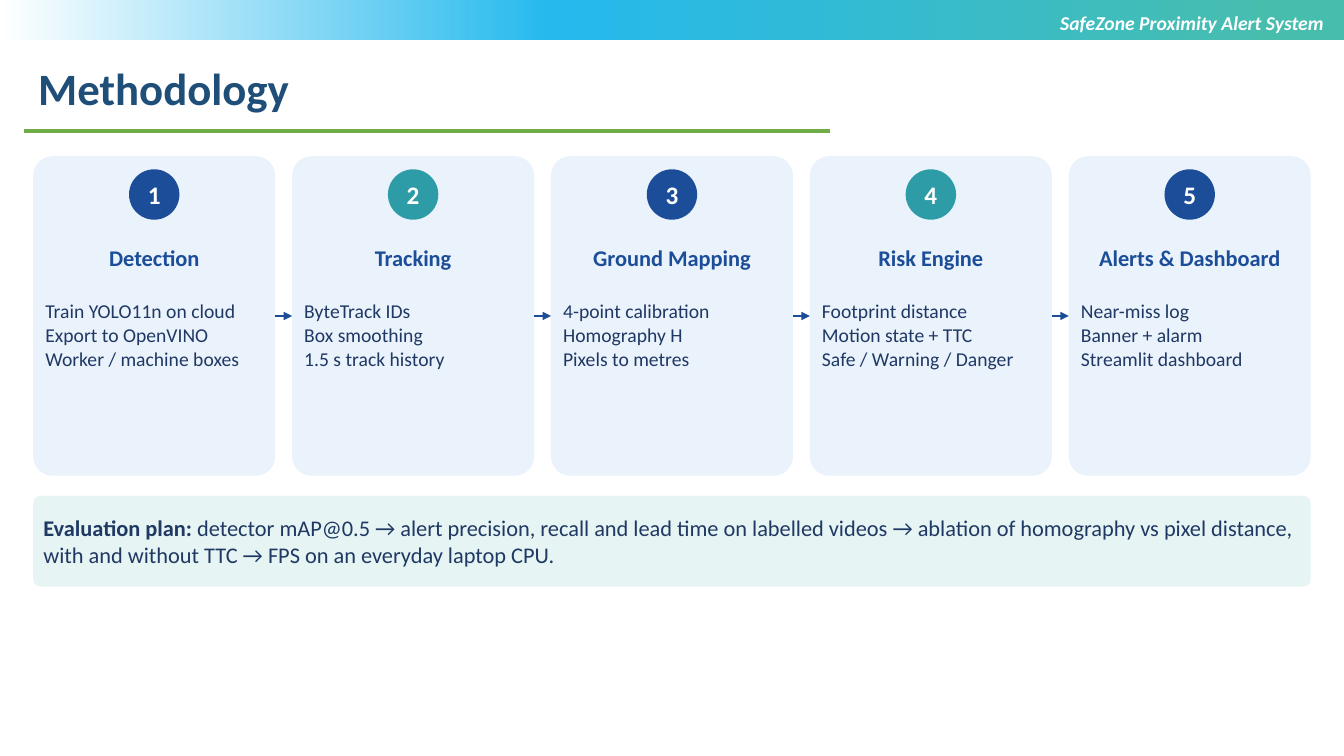
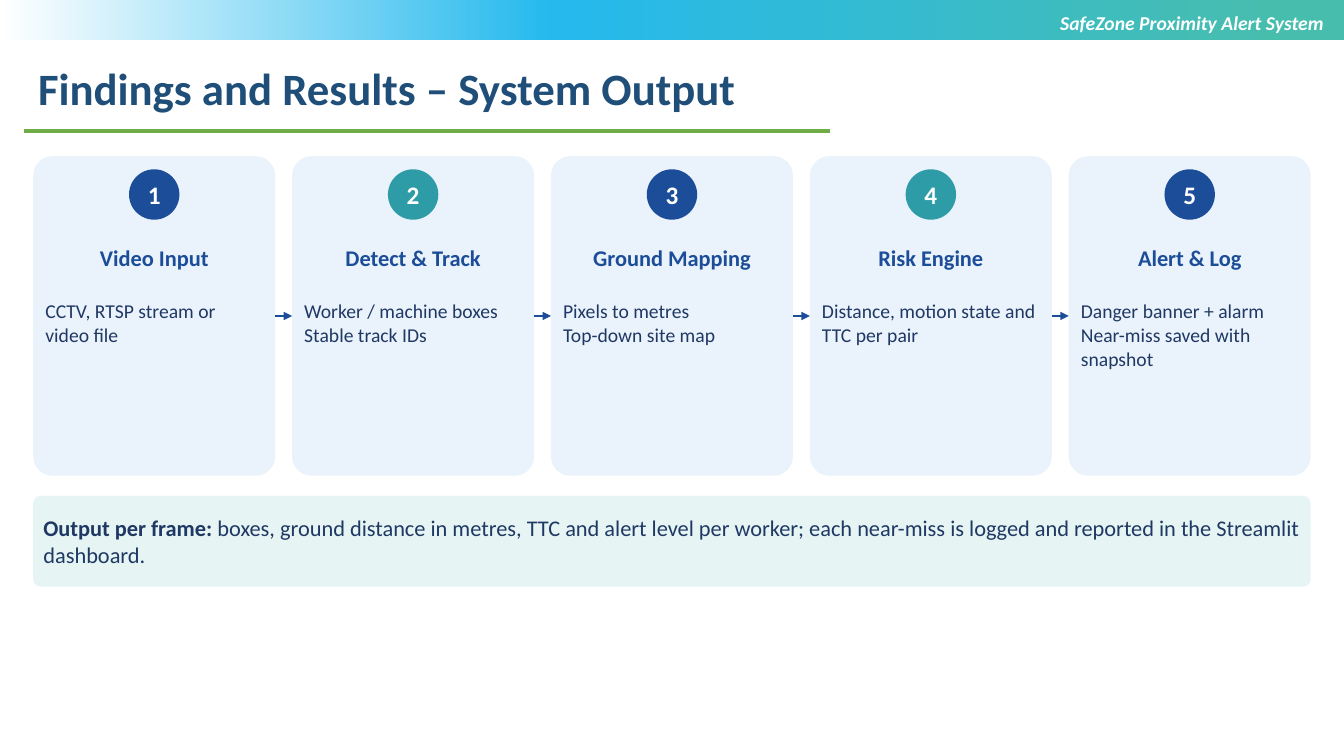
from copy import deepcopy

from lxml import etree
from pptx import Presentation
from pptx.dml.color import RGBColor
from pptx.enum.shapes import MSO_CONNECTOR, MSO_SHAPE
from pptx.enum.text import MSO_ANCHOR, PP_ALIGN
from pptx.oxml.ns import qn
from pptx.util import Inches, Pt

# Style
FONT = "Calibri"
WHITE = RGBColor(0xFF, 0xFF, 0xFF)
SKY = RGBColor(0x25, 0xB9, 0xED)
MINT = RGBColor(0x47, 0xBD, 0xAE)
TITLE_BLUE = RGBColor(0x1F, 0x4E, 0x79)
RULE_GREEN = RGBColor(0x70, 0xAD, 0x47)
BLUE = RGBColor(0x1C, 0x4D, 0x98)
TEAL = RGBColor(0x2E, 0x9C, 0xA6)
INK = RGBColor(0x1F, 0x38, 0x64)
CARD_FILL = RGBColor(0xEA, 0xF2, 0xFB)
NOTE_FILL = RGBColor(0xE6, 0xF5, 0xF3)
BAND_STOPS = [(0, WHITE), (0.41, SKY), (0.95, MINT)]

RECTANGLE, ROUNDED, OVAL = (
    MSO_SHAPE.RECTANGLE, MSO_SHAPE.ROUNDED_RECTANGLE, MSO_SHAPE.OVAL)
STRAIGHT = MSO_CONNECTOR.STRAIGHT
LEFT, CENTER, RIGHT = PP_ALIGN.LEFT, PP_ALIGN.CENTER, PP_ALIGN.RIGHT
TOP, MIDDLE = MSO_ANCHOR.TOP, MSO_ANCHOR.MIDDLE
LEFT_SIDE, RIGHT_SIDE = 1, 3

# Layout, in inches
PAGE_WIDTH, PAGE_HEIGHT = 13.33, 7.5
MARGIN, CONTENT_WIDTH = 0.33, 12.67
CARD_TOP, CARD_WIDTH, CARD_HEIGHT = 1.55, 2.4, 3.17
BADGE_SIZE = 0.5
TEXT_INDENT = 0.04

# Content
RUNNING_HEAD = "SafeZone Proximity Alert System"
PAGES = [
    ("Methodology",
     [("Detection", ["Train YOLO11n on cloud", "Export to OpenVINO",
                     "Worker / machine boxes"]),
      ("Tracking", ["ByteTrack IDs", "Box smoothing", "1.5 s track history"]),
      ("Ground Mapping", ["4-point calibration", "Homography H",
                          "Pixels to metres"]),
      ("Risk Engine", ["Footprint distance", "Motion state + TTC",
                       "Safe / Warning / Danger"]),
      ("Alerts & Dashboard", ["Near-miss log", "Banner + alarm",
                              "Streamlit dashboard"])],
     "Evaluation plan:",
     "detector mAP@0.5 → alert precision, recall and lead time on labelled "
     "videos → ablation of homography vs pixel distance, with and without "
     "TTC → FPS on an everyday laptop CPU."),
    ("Findings and Results – System Output",
     [("Video Input", ["CCTV, RTSP stream or video file"]),
      ("Detect & Track", ["Worker / machine boxes", "Stable track IDs"]),
      ("Ground Mapping", ["Pixels to metres", "Top-down site map"]),
      ("Risk Engine", ["Distance, motion state and TTC per pair"]),
      ("Alert & Log", ["Danger banner + alarm",
                       "Near-miss saved with snapshot"])],
     "Output per frame:",
     "boxes, ground distance in metres, TTC and alert level per worker; each "
     "near-miss is logged and reported in the Streamlit dashboard."),
]


def add_span(para, text, size=14, color=INK, bold=False, italic=False):
    """Add formatted text to a paragraph."""
    span = para.add_run()
    span.text = text
    font = span.font
    font.name, font.size = FONT, Pt(size)
    font.bold, font.italic = bold, italic
    font.color.rgb = color


def set_frame(shape, anchor=TOP, inset=(0.1, 0.05)):
    """Set wrapping, anchor and (horizontal, vertical) insets."""
    frame = shape.text_frame
    frame.word_wrap = True
    frame.vertical_anchor = anchor
    frame.margin_left = frame.margin_right = Inches(inset[0])
    frame.margin_top = frame.margin_bottom = Inches(inset[1])
    return frame


class DeckBuilder:
    """Holds the deck, its style and the current page."""

    def __init__(self):
        self.deck = Presentation()
        self.deck.slide_width = Inches(PAGE_WIDTH)
        self.deck.slide_height = Inches(PAGE_HEIGHT)
        self.page = None

    # Basic elements
    def shape(self, kind, left, top, width, height, fill=None):
        shape = self.page.shapes.add_shape(
            kind, Inches(left), Inches(top), Inches(width), Inches(height))
        shape.shadow.inherit = False
        shape.line.fill.background()
        if fill is not None:
            shape.fill.solid()
            shape.fill.fore_color.rgb = fill
        if kind == ROUNDED:
            shape.adjustments[0] = 0.08
        return shape

    def text(self, lines, left, top, width, height, align=LEFT, anchor=TOP,
             inset=(0.1, 0.05), **style):
        box = self.page.shapes.add_textbox(
            Inches(left), Inches(top), Inches(width), Inches(height))
        frame = set_frame(box, anchor, inset)
        for index, line in enumerate(lines):
            para = frame.add_paragraph() if index else frame.paragraphs[0]
            para.alignment = align
            add_span(para, line, **style)

    def line(self, start, end, color, width, arrow=False):
        line = self.page.shapes.add_connector(
            STRAIGHT, *(Inches(value) for value in (*start, *end)))
        line.line.color.rgb = color
        line.line.width = Pt(width)
        properties = line.element.spPr
        if arrow:
            etree.SubElement(properties.find(qn("a:ln")), qn("a:tailEnd"),
                             type="triangle")
        etree.SubElement(properties, qn("a:effectLst"))
        return line

    # Shared page parts
    def band(self):
        band = self.shape(RECTANGLE, 0, 0, PAGE_WIDTH, 0.4)
        band.fill.gradient()
        band.fill.gradient_angle = 0
        stop_list = band.element.spPr.find(qn("a:gradFill")).find(qn("a:gsLst"))
        stop_list.append(deepcopy(stop_list[0]))
        for stop, (position, color) in zip(band.fill.gradient_stops, BAND_STOPS):
            stop.position = position
            stop.color.rgb = color

    def start_page(self, title):
        self.page = self.deck.slides.add_slide(self.deck.slide_layouts[6])
        self.band()
        self.text([title], 0.28, 0.55, 11.62, 0.71,
                  size=32, color=TITLE_BLUE, bold=True)
        self.line((0.24, 1.3), (8.23, 1.3), RULE_GREEN, 2.25)
        self.text([RUNNING_HEAD], 3.5, 0.06, 9.73, 0.71, align=RIGHT,
                  color=WHITE, bold=True, italic=True)

    # Process cards
    def badge(self, number, left, top):
        badge = self.shape(OVAL, left, top, BADGE_SIZE, BADGE_SIZE,
                           BLUE if number % 2 else TEAL)
        para = set_frame(badge, MIDDLE, (0.08, 0.04)).paragraphs[0]
        para.alignment = CENTER
        add_span(para, str(number), size=18, color=WHITE, bold=True)

    def card(self, number, left, heading, lines):
        card = self.shape(ROUNDED, left, CARD_TOP, CARD_WIDTH, CARD_HEIGHT,
                          CARD_FILL)
        self.badge(number, left + (CARD_WIDTH - BADGE_SIZE) / 2, CARD_TOP + 0.13)
        text_left = left + TEXT_INDENT
        text_width = CARD_WIDTH - 2 * TEXT_INDENT
        self.text([heading], text_left, 2.25, text_width, 0.61, align=CENTER,
                  anchor=MIDDLE, inset=(0.08, 0.08),
                  size=16, color=BLUE, bold=True)
        self.text(lines, text_left, 2.89, text_width, 1.79, inset=(0.08, 0.08))
        return card

    def process(self, steps):
        pitch = (CONTENT_WIDTH - CARD_WIDTH) / (len(steps) - 1)
        middle = CARD_TOP + CARD_HEIGHT / 2
        previous = None
        for index, (heading, lines) in enumerate(steps):
            left = MARGIN + index * pitch
            card = self.card(index + 1, left, heading, lines)
            if previous is not None:
                arrow = self.line((left - pitch + CARD_WIDTH, middle),
                                  (left, middle), BLUE, 2, arrow=True)
                arrow.begin_connect(previous, RIGHT_SIDE)
                arrow.end_connect(card, LEFT_SIDE)
            previous = card

    # Summary strip
    def note(self, label, message):
        strip = self.shape(ROUNDED, MARGIN, 4.92, CONTENT_WIDTH, 0.9, NOTE_FILL)
        para = set_frame(strip, MIDDLE, (0.08, 0.04)).paragraphs[0]
        para.alignment = LEFT
        add_span(para, label + " ", size=16, bold=True)
        add_span(para, message, size=16)


def main():
    builder = DeckBuilder()
    for title, steps, label, message in PAGES:
        builder.start_page(title)
        builder.process(steps)
        builder.note(label, message)
    builder.deck.save("out.pptx")


if __name__ == "__main__":
    main()
